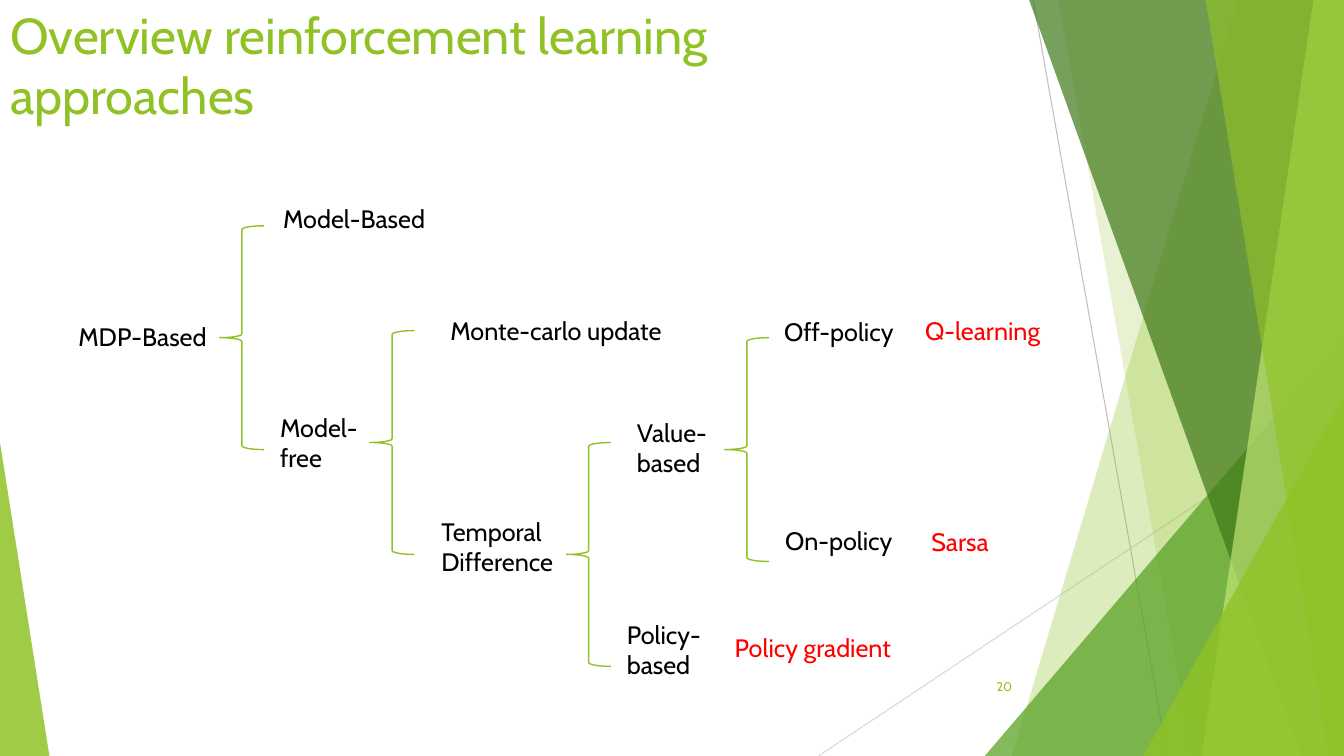
from dataclasses import dataclass

from lxml import etree
from pptx import Presentation
from pptx.dml.color import RGBColor
from pptx.enum.shapes import MSO_CONNECTOR, MSO_SHAPE
from pptx.enum.text import MSO_ANCHOR, MSO_AUTO_SIZE, PP_ALIGN
from pptx.oxml.ns import qn
from pptx.util import Emu, Inches, Pt

STRAIGHT = MSO_CONNECTOR.STRAIGHT
TRIANGLE, LEFT_BRACE = MSO_SHAPE.ISOSCELES_TRIANGLE, MSO_SHAPE.LEFT_BRACE
LEFT, CENTER, RIGHT = PP_ALIGN.LEFT, PP_ALIGN.CENTER, PP_ALIGN.RIGHT
TOP, MIDDLE = MSO_ANCHOR.TOP, MSO_ANCHOR.MIDDLE
NO_AUTOFIT = MSO_AUTO_SIZE.NONE
TITLE_ONLY = 5

# Square grid: ten cells to the inch
CELL = Inches(0.1)
COLUMNS, ROWS = 133.33, 75
ONE_LINE, TWO_LINES = 4, 7.1
BRACE_WIDTH, BRACE_HEIGHT = 4.4, 22.2


@dataclass(frozen=True)
class Theme:
    font: str = "Cabin"
    green: str = "90C226"
    leaf: str = "54A021"
    forest: str = "3F7819"
    lime: str = "C0E474"
    grey: str = "BFBFBF"
    pale_grey: str = "D9D9D9"
    text: str = "000000"
    method: str = "FF0000"
    title_size: int = 36
    label_size: int = 18
    number_size: int = 9


THEME = Theme()

# Slanted bands: top left, bottom left, colour, opacity in percent
BANDS_BEHIND = [(122.8, 100.4, THEME.green, 30), (105, 118.3, THEME.green, 20)]
BANDS_IN_FRONT = [
    (102.1, 129.1, THEME.forest, 70),
    (130.3, 119.2, THEME.lime, 70),
    (119.6, 131.8, THEME.green, 65),
]

BRACES = [(21.8, 22.4), (36.7, 32.8), (56.2, 43.9), (71.9, 33.5)]

# Approaches: text, column, row, width, height, alignment
APPROACHES = [
    ("MDP-Based", 6.8, 31.4, 16, ONE_LINE, LEFT),
    ("Model-Based", 27.1, 19.7, 16.5, ONE_LINE, LEFT),
    ("Model-free", 26.8, 40.4, 12.4, TWO_LINES, LEFT),
    ("Monte-carlo update", 41.7, 30.8, 26.9, ONE_LINE, CENTER),
    ("Temporal Difference", 42.8, 50.7, 13.8, TWO_LINES, LEFT),
    ("Value-based", 62.2, 40.9, 9.6, TWO_LINES, LEFT),
    ("Policy-based", 61.2, 60.9, 9.6, TWO_LINES, LEFT),
    ("Off-policy", 76.8, 30.9, 14.9, ONE_LINE, LEFT),
    ("On-policy", 76.9, 51.6, 14.8, ONE_LINE, LEFT),
]

# Methods: text, column, row, width
METHODS = [
    ("Q-learning", 90.8, 30.8, 17),
    ("Policy gradient", 71.9, 62.2, 18.9),
    ("Sarsa", 91.4, 51.7, 8.8),
]


def grid(*cells):
    return [Emu(round(cell * CELL)) for cell in cells]


def fill_translucent(shape, color, opacity):
    shape.shadow.inherit = False
    shape.line.fill.background()
    shape.fill.solid()
    shape.fill.fore_color.rgb = RGBColor.from_string(color)
    color_element = shape.fill._xPr.find(qn("a:solidFill"))[0]
    alpha = etree.SubElement(color_element, qn("a:alpha"))
    alpha.set("val", str(opacity * 1000))


def add_band(slide, top_left, bottom_left, color, opacity):
    """Fill from a slanted edge to the right side of the slide."""
    corners = [(top_left, 0), (COLUMNS, 0), (COLUMNS, ROWS), (bottom_left, ROWS)]
    points = [grid(*corner) for corner in corners]
    builder = slide.shapes.build_freeform(*points[0])
    builder.add_line_segments(points[1:], close=True)
    fill_translucent(builder.convert_to_shape(), color, opacity)


def add_corner_triangle(slide, left, width, height, apex, color, opacity):
    """Stand a triangle on the bottom edge; apex is its place along the width."""
    place = grid(left, ROWS - height, width, height)
    triangle = slide.shapes.add_shape(TRIANGLE, *place)
    triangle.adjustments[0] = apex
    fill_translucent(triangle, color, opacity)


def add_thin_line(slide, start, end, color):
    line = slide.shapes.add_connector(STRAIGHT, *grid(*start, *end))
    line.line.color.rgb = RGBColor.from_string(color)
    line.line.width = Pt(0.75)
    etree.SubElement(line._element.spPr, qn("a:effectLst"))


def add_brace(slide, column, row):
    place = grid(column, row, BRACE_WIDTH, BRACE_HEIGHT)
    brace = slide.shapes.add_shape(LEFT_BRACE, *place)
    brace.shadow.inherit = False
    brace.fill.background()
    brace.line.color.rgb = RGBColor.from_string(THEME.green)
    brace.line.width = Pt(1)


def set_text(shape, text, size, color, alignment=LEFT, anchor=TOP):
    frame = shape.text_frame
    frame.text = text
    frame.word_wrap = True
    frame.auto_size = NO_AUTOFIT
    frame.vertical_anchor = anchor
    paragraph = frame.paragraphs[0]
    paragraph.alignment = alignment
    font = paragraph.runs[0].font
    font.name = THEME.font
    font.size = Pt(size)
    font.color.rgb = RGBColor.from_string(color)


def add_label(slide, text, place, color, size=THEME.label_size, **layout):
    box = slide.shapes.add_textbox(*grid(*place))
    set_text(box, text, size, color, **layout)


def set_title(slide, text):
    title = slide.shapes.title
    title.left, title.top, title.width, title.height = grid(0, -0.1, 94, 14.4)
    set_text(title, text, THEME.title_size, THEME.green)


def add_decoration(slide):
    add_thin_line(slide, (102.5, 0), (115.8, ROWS), THEME.grey)
    add_thin_line(slide, (COLUMNS, 40.3), (81.2, ROWS), THEME.pale_grey)
    for band in BANDS_BEHIND:
        add_band(slide, *band)
    add_corner_triangle(slide, 97.7, 35.6, 41.7, 1, THEME.leaf, 72)
    for band in BANDS_IN_FRONT:
        add_band(slide, *band)
    add_corner_triangle(slide, 113.4, 19.9, 35.7, 1, THEME.green, 80)
    add_corner_triangle(slide, 0, 4.9, 31.1, 0, THEME.green, 85)


def main():
    presentation = Presentation()
    presentation.slide_width, presentation.slide_height = grid(COLUMNS, ROWS)
    slide = presentation.slides.add_slide(presentation.slide_layouts[TITLE_ONLY])
    add_decoration(slide)
    set_title(slide, "Overview reinforcement learning approaches")
    for column, row in BRACES:
        add_brace(slide, column, row)
    for text, *place, alignment in APPROACHES:
        add_label(slide, text, place, THEME.text, alignment=alignment)
    for text, *place in METHODS:
        add_label(slide, text, (*place, ONE_LINE), THEME.method)
    add_label(slide, "20", (93.9, 66.1, 7.5, ONE_LINE), THEME.green,
              THEME.number_size, alignment=RIGHT, anchor=MIDDLE)
    presentation.save("out.pptx")


if __name__ == "__main__":
    main()
